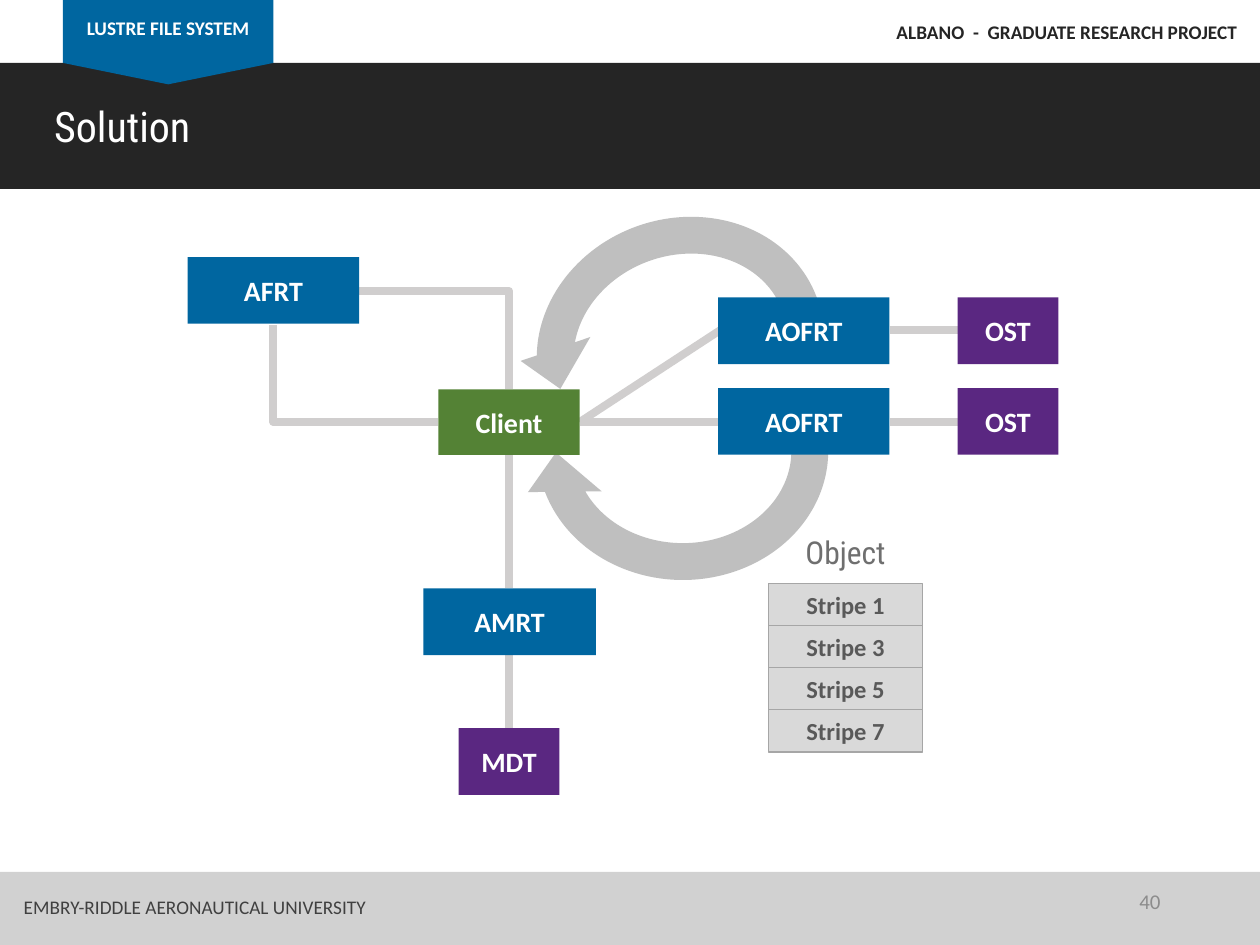
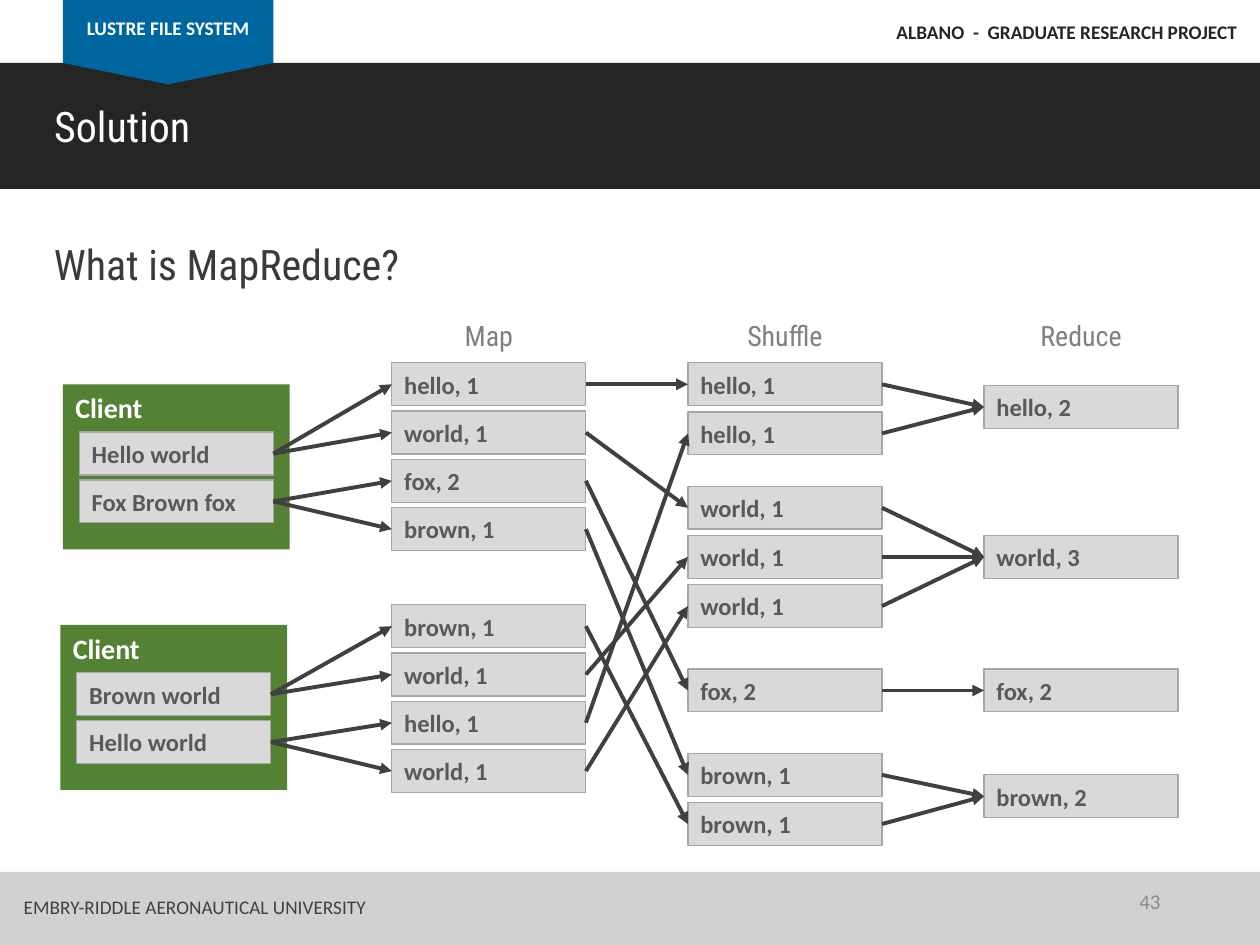
from dataclasses import dataclass

from lxml import etree
from pptx import Presentation
from pptx.dml.color import RGBColor
from pptx.enum.shapes import MSO_CONNECTOR, MSO_SHAPE
from pptx.enum.text import MSO_ANCHOR, MSO_AUTO_SIZE, PP_ALIGN
from pptx.oxml.ns import qn
from pptx.util import Inches, Pt


@dataclass(frozen=True)
class Theme:
    blue: str = "0066A0"
    green: str = "548235"
    purple: str = "5A2781"
    band: str = "252525"
    footer: str = "D1D1D1"
    cell: str = "D9D9D9"
    cell_edge: str = "A6A6A6"
    ring: str = "BFBFBF"
    link: str = "D0CECE"
    arrow: str = "404040"
    # Type styles: font, size, bold, colour
    title: tuple = ("Roboto Condensed", 24, False, "FFFFFF")
    heading: tuple = ("Roboto Condensed", 24, False, "3A3A3A")
    caption: tuple = ("Roboto Condensed", 18, False, "6F6F6F")
    column: tuple = ("Roboto Condensed", 16, False, "808080")
    tab: tuple = ("Calibri", 11, True, "FFFFFF")
    header: tuple = ("Calibri", 11, True, "252525")
    school: tuple = ("Calibri", 11, False, "404040")
    number: tuple = ("Calibri", 12, False, "8C8C8C")
    node: tuple = ("Calibri", 16, True, "FFFFFF")
    item: tuple = ("Calibri", 14, True, "595959")


T = Theme()
LEFT, CENTER, RIGHT = PP_ALIGN.LEFT, PP_ALIGN.CENTER, PP_ALIGN.RIGHT
TOP, MIDDLE = MSO_ANCHOR.TOP, MSO_ANCHOR.MIDDLE


def add_box(s, at, text="", style=None, fill=None, edge=None, align=LEFT,
            anchor=TOP, kind=MSO_SHAPE.RECTANGLE, flips=(), sp=None):
    """Add a filled shape, or a text box when fill is None; sp reuses a placeholder."""
    place = [Inches(v) for v in at]
    if sp is not None:
        sp.left, sp.top, sp.width, sp.height = place
    elif fill is None:
        sp = s.shapes.add_textbox(*place)
    else:
        sp = s.shapes.add_shape(kind, *place)
        sp.shadow.inherit = False
        sp.fill.solid()
        sp.fill.fore_color.rgb = RGBColor.from_string(fill)
        if edge:
            sp.line.color.rgb = RGBColor.from_string(edge)
            sp.line.width = Pt(0.75)
        else:
            sp.line.fill.background()
    for flip in flips:
        sp._element.spPr.find(qn("a:xfrm")).set(flip, "1")
    if text:
        tf = sp.text_frame
        tf.word_wrap = True
        tf.auto_size = MSO_AUTO_SIZE.NONE
        tf.vertical_anchor = anchor
        p = tf.paragraphs[0]
        p.alignment = align
        r = p.add_run()
        r.text = text
        r.font.name, size, r.font.bold, color = style
        r.font.size = Pt(size)
        r.font.color.rgb = RGBColor.from_string(color)
    return sp


def connect(s, start, end, color, width, elbow=False, arrow=False):
    kind = MSO_CONNECTOR.ELBOW if elbow else MSO_CONNECTOR.STRAIGHT
    c = s.shapes.add_connector(kind, *[Inches(v) for v in (*start, *end)])
    c.line.color.rgb = RGBColor.from_string(color)
    c.line.width = Pt(width)
    spPr = c._element.spPr
    if elbow:
        spPr.find(qn("a:prstGeom")).set("prst", "bentConnector2")
    if arrow:
        etree.SubElement(spPr.find(qn("a:ln")), qn("a:tailEnd"), type="triangle")
    etree.SubElement(spPr, qn("a:effectLst"))


prs = Presentation()
prs.slide_width, prs.slide_height = Inches(10), Inches(7.5)

# Frame shared by both slides
slides = []
for number in ("40", "43"):
    s = prs.slides.add_slide(prs.slide_layouts[5])
    add_box(s, (0, 0.5, 10, 1), fill=T.band)
    add_box(s, (0.5, 0, 1.67, 0.5), fill=T.blue)
    add_box(s, (0.5, 0.5, 1.67, 0.17), fill=T.blue,
            kind=MSO_SHAPE.ISOSCELES_TRIANGLE, flips=("flipV",))
    add_box(s, (0.5, 0.08, 1.67, 0.29), "LUSTRE FILE SYSTEM", T.tab, align=CENTER)
    add_box(s, (6.9, 0.11, 3.02, 0.29), "ALBANO  -  GRADUATE RESEARCH PROJECT",
            T.header, align=RIGHT)
    title = add_box(s, (0.33, 0.75, 4.67, 0.5), "Solution", T.title, sp=s.shapes.title)
    s.shapes._spTree.append(title._element)  # bring above the band
    add_box(s, (0, 6.92, 10, 0.58), fill=T.footer)
    add_box(s, (0.09, 7.06, 3.03, 0.29), "EMBRY-RIDDLE AERONAUTICAL UNIVERSITY", T.school)
    add_box(s, (7.06, 6.95, 2.25, 0.4), number, T.number, align=RIGHT, anchor=MIDDLE)
    slides.append(s)
file_system, map_reduce = slides

# File system: client, routing tables and storage targets
s = file_system
for x, y, rotation, flips in (
    (4.1, 1.59, 340.4, ("flipH",)),
    (4.12, 2.41, 0, ("flipH", "flipV")),
):
    ring = add_box(s, (x, y, 2.6, 2.34), fill=T.ring,
                   kind=MSO_SHAPE.CIRCULAR_ARROW, flips=flips)
    ring.rotation = rotation
    for i, value in enumerate((0.125, 11.03, 204.58, 108, 0.125)):
        ring.adjustments[i] = value

for start, end, elbow in (
    ((2.85, 2.31), (4.04, 3.09), True),
    ((3.48, 3.35), (2.17, 2.58), True),
    ((4.6, 3.35), (5.87, 2.52), False),
    ((4.6, 3.35), (5.7, 3.35), False),
    ((7.06, 2.62), (7.6, 2.62), False),
    ((7.06, 3.35), (7.6, 3.35), False),
    ((4.04, 4.67), (4.04, 3.61), False),
    ((4.04, 5.2), (4.04, 5.78), False),
):
    connect(s, start, end, T.link, 4.5, elbow=elbow)

for text, fill, at in (
    ("AFRT", T.blue, (1.49, 2.04, 1.36, 0.53)),
    ("AOFRT", T.blue, (5.7, 2.36, 1.36, 0.53)),
    ("AOFRT", T.blue, (5.7, 3.08, 1.36, 0.53)),
    ("AMRT", T.blue, (3.36, 4.67, 1.37, 0.53)),
    ("OST", T.purple, (7.6, 2.36, 0.8, 0.53)),
    ("OST", T.purple, (7.6, 3.08, 0.8, 0.53)),
    ("MDT", T.purple, (3.64, 5.78, 0.8, 0.53)),
    ("Client", T.green, (3.48, 3.09, 1.12, 0.52)),
):
    add_box(s, at, text, T.node, fill, align=CENTER, anchor=MIDDLE)

add_box(s, (6.15, 4.18, 1.12, 0.4), "Object", T.caption, align=CENTER)
for i, stripe in enumerate((1, 3, 5, 7)):
    add_box(s, (6.1, 4.63 + i / 3, 1.22, 0.34), f"Stripe {stripe}", T.item,
            T.cell, T.cell_edge, CENTER, MIDDLE)

# MapReduce: word count from the clients to the reduced totals
s = map_reduce
ITEM_W, ITEM_H = 1.54, 0.34
MAP_X, SHUFFLE_X, REDUCE_X = 3.11, 5.46, 7.81
MAP_STEP = 1.15 / 3
SHUFFLE_STEP = 0.39
CHUNK_STEP = 0.38

add_box(s, (0.33, 1.84, 6.44, 0.5), "What is MapReduce?", T.heading)
for x, text in ((MAP_X, "Map"), (SHUFFLE_X, "Shuffle"), (REDUCE_X, "Reduce")):
    add_box(s, (x, 2.48, ITEM_W, 0.37), text, T.column, align=CENTER)

# Client position, top of its map rows, and each chunk with its mapped words
clients = (
    (0.5, 3.05, 2.88, (("Hello world", ("hello, 1", "world, 1")),
                       ("Fox Brown fox", ("fox, 2", "brown, 1")))),
    (0.48, 4.96, 4.8, (("Brown world", ("brown, 1", "world, 1")),
                       ("Hello world", ("hello, 1", "world, 1")))),
)
# Shuffle top, reduce top, word, count, and the map rows that feed the group
groups = (
    (2.88, 3.06, "hello", 1, (0, 6)),
    (3.86, 4.25, "world", 1, (1, 5, 7)),
    (5.31, 5.31, "fox", 2, (2,)),
    (5.98, 6.15, "brown", 1, (3, 4)),
)
items, arrows, map_tops = [], [], []

for x, y, map_top, chunks in clients:
    add_box(s, (x, y, 1.8, 1.31), "Client", T.node, T.green)
    for i, (chunk, words) in enumerate(chunks):
        chunk_x, chunk_y = x + 0.13, y + (i + 1) * CHUNK_STEP
        items.append((chunk_x, chunk_y, chunk))
        for j, word in enumerate(words):
            top = map_top + (2 * i + j) * MAP_STEP
            map_tops.append(top)
            items.append((MAP_X, top, word))
            arrows.append((chunk_x, chunk_y, MAP_X, top))

for shuffle_top, reduce_top, word, count, sources in groups:
    items.append((REDUCE_X, reduce_top, f"{word}, {count * len(sources)}"))
    for i, source in enumerate(sources):
        top = shuffle_top + i * SHUFFLE_STEP
        items.append((SHUFFLE_X, top, f"{word}, {count}"))
        arrows.append((MAP_X, map_tops[source], SHUFFLE_X, top))
        arrows.append((SHUFFLE_X, top, REDUCE_X, reduce_top))

for x, y, text in items:
    add_box(s, (x, y, ITEM_W, ITEM_H), text, T.item, T.cell, T.cell_edge, anchor=MIDDLE)
for x1, y1, x2, y2 in arrows:
    connect(s, (x1 + ITEM_W, y1 + ITEM_H / 2), (x2, y2 + ITEM_H / 2),
            T.arrow, 2.25, arrow=True)

prs.save("out.pptx")
